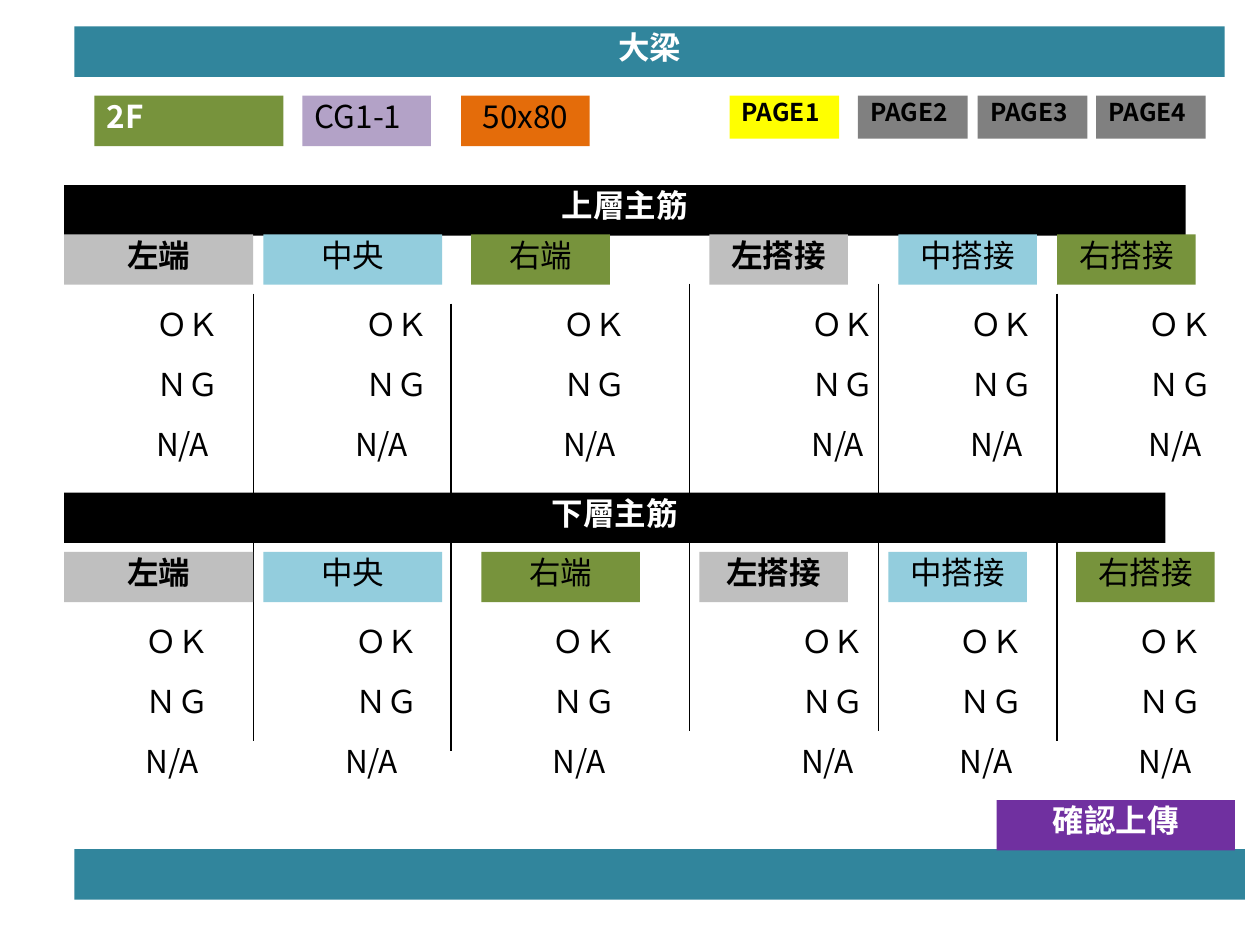
from lxml.etree import SubElement
from pptx import Presentation
from pptx.dml.color import RGBColor
from pptx.enum.shapes import MSO_CONNECTOR, MSO_SHAPE
from pptx.enum.text import MSO_ANCHOR, MSO_AUTO_SIZE, PP_ALIGN
from pptx.oxml.ns import qn
from pptx.util import Inches, Pt

FONT = "Noto Sans CJK SC"
COLORS = {
    "teal": "31859C", "green": "77933C", "lilac": "B3A2C7", "orange": "E46C0A",
    "purple": "7030A0", "yellow": "FFFF00", "gray": "808080", "silver": "BFBFBF",
    "sky": "93CDDD", "black": "000000", "white": "FFFFFF",
}
ROW = 0.4
PAGE_ROW = 0.34
TAG_TOP = 0.76
ANSWER_WIDTH = 0.71
ANSWER_STEP = 0.475
ANSWERS = ("ＯＫ", "ＮＧ", "N/A")
HEADINGS = (
    ("左端", "silver", True), ("中央", "sky", False), ("右端", "green", False),
    ("左搭接", "silver", True), ("中搭接", "sky", False), ("右搭接", "green", False),
)
ANSWER_LEFTS = (1.14, 2.8, 4.37, 6.34, 7.6, 9.02)
CENTER_COLUMN = 1
UPPER_SPANS = ((0.51, 1.5), (2.09, 1.42), (3.74, 1.1),
               (5.63, 1.1), (7.13, 1.1), (8.39, 1.1))
LOWER_SPANS = ((0.51, 1.5), (2.09, 1.42), (3.82, 1.26),
               (5.55, 1.18), (7.05, 1.1), (8.54, 1.1))
DIVIDERS = ((2.01, 2.33), (3.58, 2.41), (5.47, 2.25), (6.97, 2.25), (8.39, 2.33))
DIVIDER_LENGTH = 3.55


def color(name):
    return RGBColor.from_string(COLORS[name])


def write(shape, text, ink="black", bold=False, size=18, align=PP_ALIGN.CENTER):
    frame = shape.text_frame
    frame.word_wrap = True
    frame.auto_size = MSO_AUTO_SIZE.NONE
    frame.vertical_anchor = MSO_ANCHOR.TOP
    frame.margin_left = frame.margin_right = Inches(0.1)
    frame.margin_top, frame.margin_bottom = Inches(0.01), Inches(0.03)
    para = frame.paragraphs[0]
    para.alignment = align
    span = para.add_run()
    span.text = text
    span.font.name = FONT
    SubElement(span.font._element, qn("a:ea")).set("typeface", FONT)
    span.font.size = Pt(size)
    span.font.bold = bold
    span.font.color.rgb = color(ink)


def add_block(page, left, top, width, fill, text="", height=ROW, **style):
    block = page.shapes.add_shape(MSO_SHAPE.RECTANGLE, Inches(left), Inches(top),
                                  Inches(width), Inches(height))
    block.shadow.inherit = False
    block.fill.solid()
    block.fill.fore_color.rgb = color(fill)
    block.line.fill.background()
    if text:
        write(block, text, **style)


def add_title(page, text):
    title = page.shapes.title
    title.left, title.top = Inches(0.59), Inches(0.21)
    title.width, title.height = Inches(9.13), Inches(ROW)
    title.fill.solid()
    title.fill.fore_color.rgb = color("teal")
    write(title, text, ink="white", bold=True)


def add_answer(page, left, top, text):
    box = page.shapes.add_textbox(Inches(left), Inches(top),
                                  Inches(ANSWER_WIDTH), Inches(ROW))
    write(box, text, align=PP_ALIGN.LEFT)


def add_divider(page, x, top):
    line = page.shapes.add_connector(MSO_CONNECTOR.STRAIGHT, Inches(x), Inches(top),
                                     Inches(x), Inches(top + DIVIDER_LENGTH))
    line.line.color.rgb = color("black")
    line.line.width = Pt(0.75)
    SubElement(line._element.spPr, qn("a:effectLst"))


def add_check_grid(page, heading_top, spans, shift):
    """Draw six headings, each with its column of answers moved sideways by shift."""
    for column, ((text, fill, bold), (left, width)) in enumerate(zip(HEADINGS, spans)):
        add_block(page, left, heading_top, width, fill, text, bold=bold)
        for row, answer in enumerate(ANSWERS):
            answer_left = ANSWER_LEFTS[column] + shift
            if answer == "N/A" and column == CENTER_COLUMN:
                answer_left -= 0.08
            add_answer(page, answer_left, heading_top + 0.55 + row * ANSWER_STEP, answer)


def add_tags(page):
    add_block(page, 0.75, TAG_TOP, 1.5, "green", "2F",
              ink="white", bold=True, align=PP_ALIGN.LEFT)
    add_block(page, 2.4, TAG_TOP, 1.02, "lilac", "CG1-1", align=PP_ALIGN.LEFT)
    add_block(page, 3.66, TAG_TOP, 1.02, "orange", "50x80")
    for number, left in enumerate((5.79, 6.81, 7.76, 8.7), start=1):
        add_block(page, left, TAG_TOP, 0.87, "yellow" if number == 1 else "gray",
                  f"PAGE{number}", height=PAGE_ROW, bold=True, size=14,
                  align=PP_ALIGN.LEFT)


def main():
    deck = Presentation()
    deck.slide_width, deck.slide_height = Inches(10), Inches(7.5)
    page = deck.slides.add_slide(deck.slide_layouts[5])
    add_title(page, "大梁")
    add_block(page, 0.59, 6.74, 9.29, "teal")
    add_tags(page)
    add_block(page, 7.91, 6.35, 1.89, "purple", "確認上傳", ink="white", bold=True)
    add_block(page, 0.51, 1.47, 8.9, "black", "上層主筋", ink="white", bold=True)
    add_check_grid(page, 1.86, UPPER_SPANS, 0)
    add_block(page, 0.51, 3.91, 8.74, "black", "下層主筋", ink="white", bold=True)
    for x, top in DIVIDERS:
        add_divider(page, x, top)
    add_check_grid(page, 4.38, LOWER_SPANS, -0.08)
    deck.save("out.pptx")


if __name__ == "__main__":
    main()
